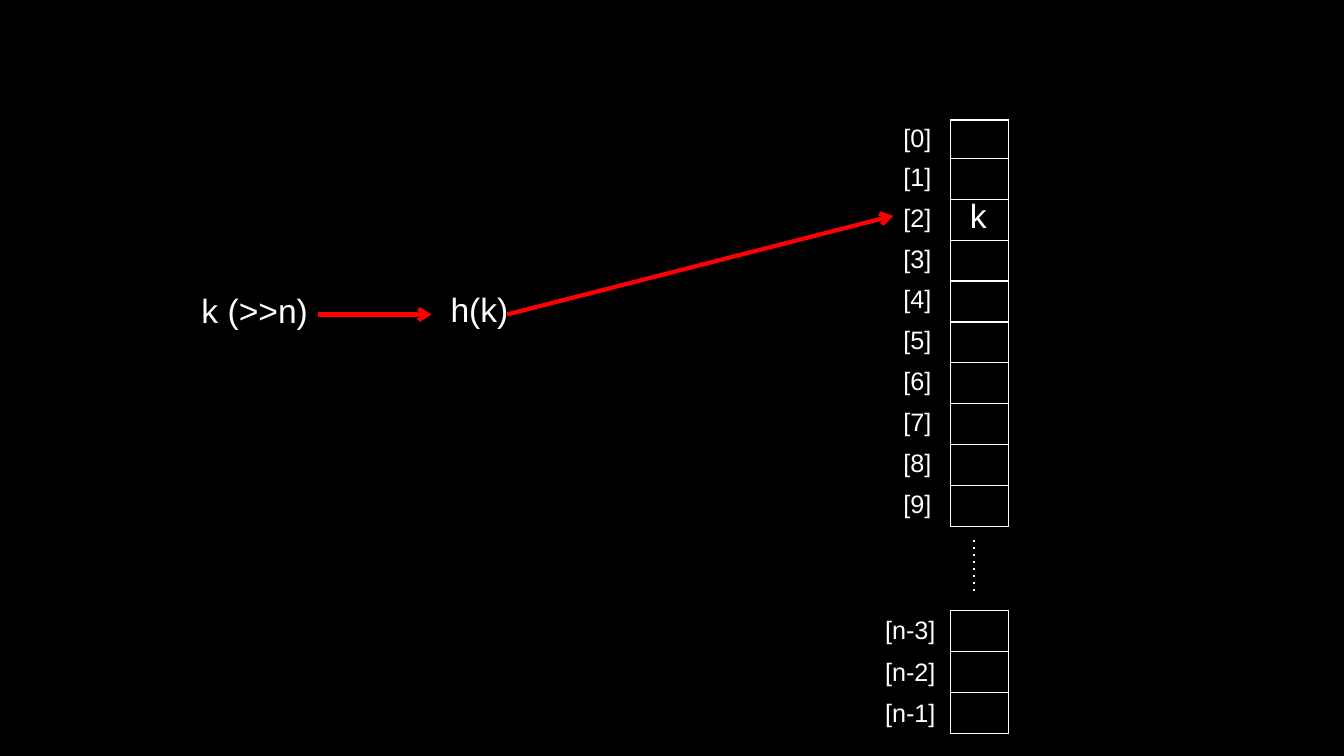
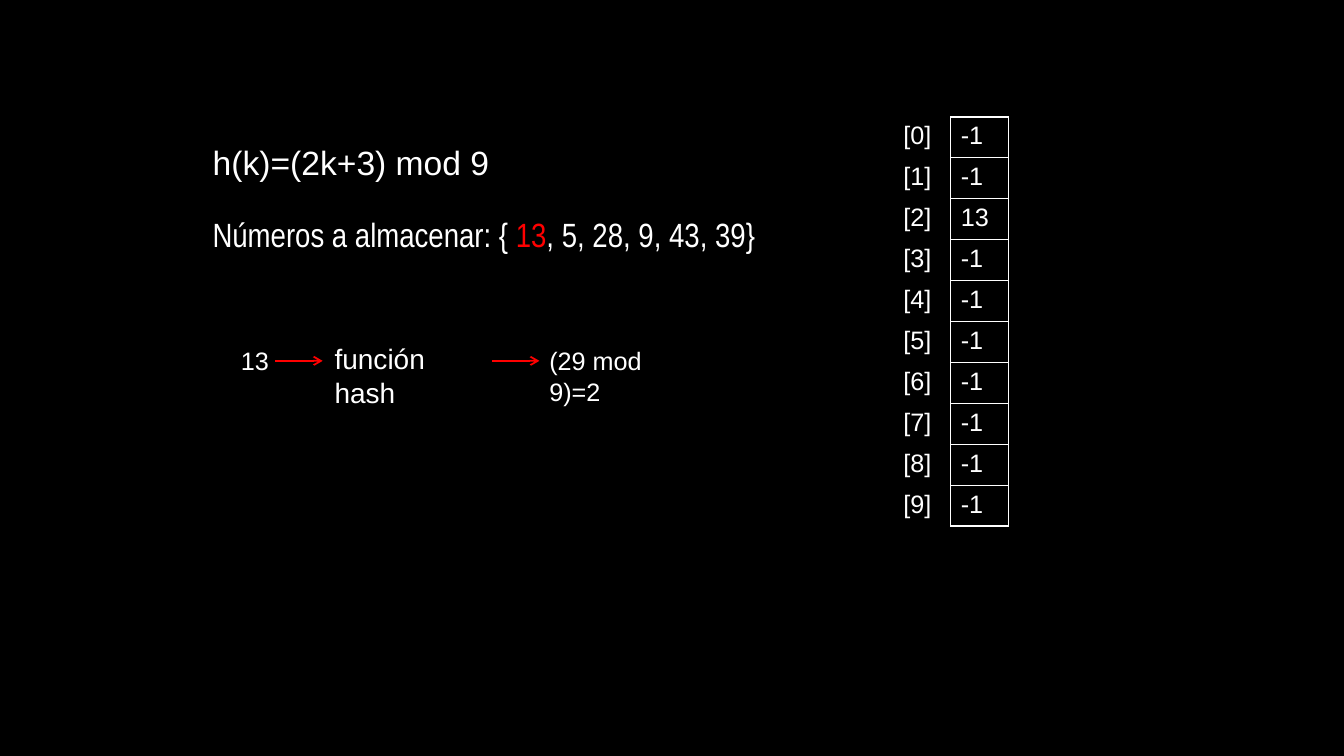
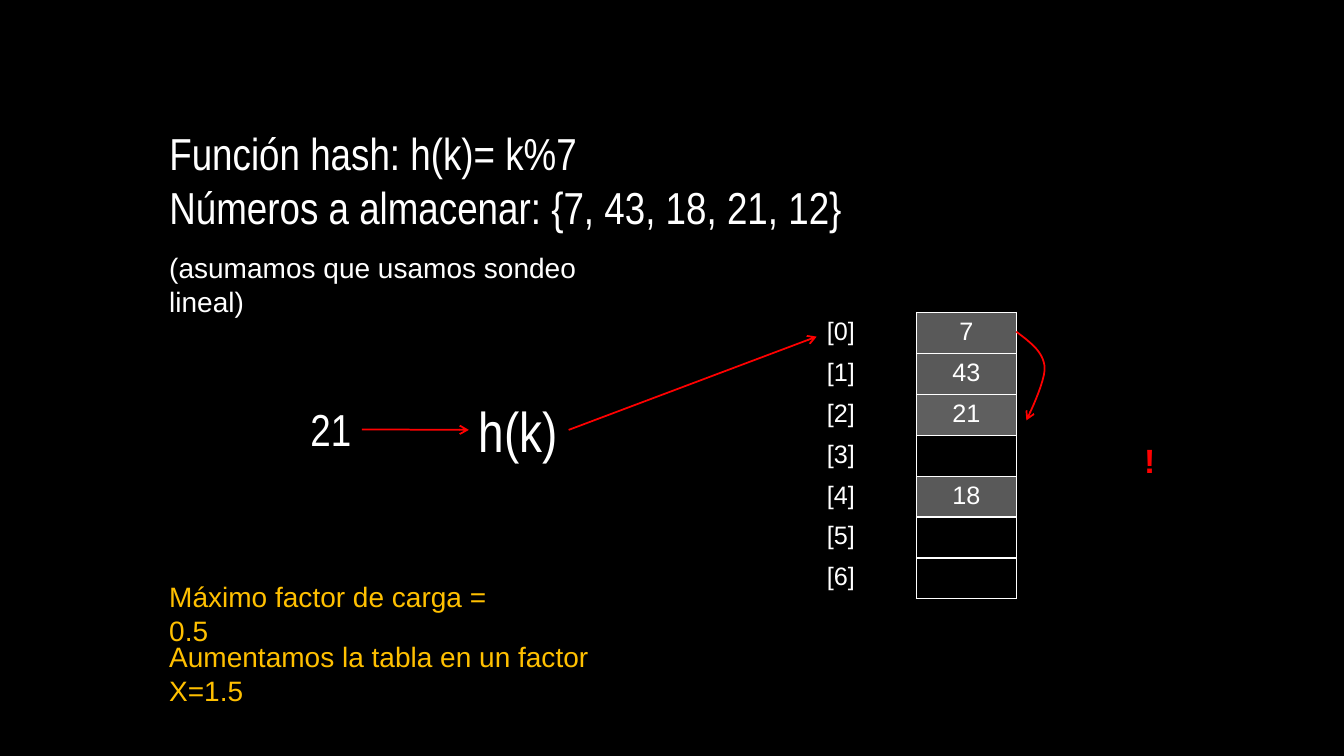
from dataclasses import dataclass
from typing import Optional

from lxml.etree import SubElement
from pptx import Presentation
from pptx.dml.color import RGBColor
from pptx.enum.shapes import MSO_CONNECTOR, MSO_SHAPE
from pptx.enum.text import MSO_ANCHOR, MSO_AUTO_SIZE, PP_ALIGN
from pptx.oxml.ns import qn
from pptx.util import Inches, Pt

Point = tuple[float, float]


@dataclass(frozen=True)
class Theme:
    black: str = "000000"
    white: str = "FFFFFF"
    red: str = "FF0000"
    amber: str = "FFC000"
    gray: str = "595959"
    light_gray: str = "5F5F5F"
    font: str = "Arial"
    narrow: str = "Arial Narrow"
    small: int = 18
    medium: int = 20
    large: int = 24
    heading: int = 32
    huge: int = 40
    thin: float = 1.25
    thick: float = 3


THEME = Theme()
ROW = 0.406
BLANK_LAYOUT, TITLE_LAYOUT = 6, 5


@dataclass(frozen=True)
class Label:
    text: str
    left: float
    top: float
    width: float
    height: float
    size: int = THEME.small
    color: str = THEME.white
    font: str = THEME.font
    bold: bool = False
    filled: bool = False
    accent: str = ""


@dataclass(frozen=True)
class Slot:
    index: str = ""
    value: str = ""
    fill: Optional[str] = None


@dataclass(frozen=True)
class Arrow:
    start: Point
    end: Point
    width: float = THEME.thin


def rgb(color: str) -> RGBColor:
    return RGBColor.from_string(color)


def format_paragraph(paragraph, size, color, font=THEME.font, bold=False,
                     alignment=PP_ALIGN.LEFT) -> None:
    paragraph.alignment = alignment
    paragraph.font.size = Pt(size)
    paragraph.font.name = font
    paragraph.font.bold = bold
    paragraph.font.color.rgb = rgb(color)


def fill_label(shape, label: Label) -> None:
    if label.filled:
        shape.fill.solid()
        shape.fill.fore_color.rgb = rgb(THEME.black)
        shape.line.color.rgb = rgb(THEME.black)
        shape.line.width = Pt(0.75)
    frame = shape.text_frame
    frame.word_wrap = True
    frame.auto_size = MSO_AUTO_SIZE.NONE
    frame.vertical_anchor = MSO_ANCHOR.TOP
    if label.accent:
        before, after = label.text.split(label.accent, 1)
        for part in (before, label.accent, after):
            run = frame.paragraphs[0].add_run()
            run.text = part
            if part == label.accent:
                run.font.color.rgb = rgb(THEME.red)
    else:
        frame.text = label.text
    for paragraph in frame.paragraphs:
        format_paragraph(paragraph, label.size, label.color, label.font, label.bold)


def add_label(slide, label: Label):
    box = [Inches(value) for value in (label.left, label.top, label.width, label.height)]
    if label.filled:
        shape = slide.shapes.add_shape(MSO_SHAPE.RECTANGLE, *box)
        shape.shadow.inherit = False
    else:
        shape = slide.shapes.add_textbox(*box)
    fill_label(shape, label)
    return shape


def set_title(slide, label: Label) -> None:
    title = slide.shapes.title
    title.left, title.top = Inches(label.left), Inches(label.top)
    title.width, title.height = Inches(label.width), Inches(label.height)
    fill_label(title, label)


def set_borders(cell, visible: str) -> None:
    properties = cell._tc.get_or_add_tcPr()
    for side in "LRTB":
        line = SubElement(properties, qn(f"a:ln{side}"), w=str(Pt(1)))
        if side in visible:
            solid = SubElement(line, qn("a:solidFill"))
            SubElement(solid, qn("a:srgbClr"), val=THEME.white)
        else:
            SubElement(line, qn("a:noFill"))


def add_slots(slide, left: float, top: float, column: float, slots: list[Slot],
              alignment=PP_ALIGN.LEFT, first_row: float = ROW) -> None:
    height = first_row + ROW * (len(slots) - 1)
    table = slide.shapes.add_table(len(slots), 2, Inches(left), Inches(top),
                                   Inches(2 * column), Inches(height)).table
    table.first_row = table.horz_banding = False
    for row, slot in enumerate(slots):
        table.rows[row].height = Inches(ROW if row else first_row)
        styles = ((slot.index, "R", None, PP_ALIGN.LEFT),
                  (slot.value, "LRTB", slot.fill, alignment))
        for number, (text, borders, fill, align) in enumerate(styles):
            cell = table.cell(row, number)
            cell.text = text
            format_paragraph(cell.text_frame.paragraphs[0], THEME.small, THEME.white,
                             alignment=align)
            set_borders(cell, borders)
            if fill:
                cell.fill.solid()
                cell.fill.fore_color.rgb = rgb(fill)
            else:
                cell.fill.background()


def style_line(shape, color: str, width: float) -> None:
    shape.line.color.rgb = rgb(color)
    shape.line.width = Pt(width)


def add_arrowhead(shape) -> None:
    SubElement(shape.element.spPr.find(qn("a:ln")), qn("a:tailEnd"), type="arrow")


def add_line(slide, start: Point, end: Point, color: str, width: float):
    connector = slide.shapes.add_connector(
        MSO_CONNECTOR.STRAIGHT, *(Inches(value) for value in (*start, *end)))
    style_line(connector, color, width)
    SubElement(connector.element.spPr, qn("a:effectLst"))
    return connector


def add_arrow(slide, arrow: Arrow):
    connector = add_line(slide, arrow.start, arrow.end, THEME.red, arrow.width)
    add_arrowhead(connector)
    return connector


def bezier(points: list[Point], steps: int = 12) -> list[Point]:
    weights = (1, 3, 3, 1)

    def at(t: float, axis: int) -> float:
        return sum(weight * (1 - t) ** (3 - power) * t ** power * point[axis]
                   for power, (weight, point) in enumerate(zip(weights, points)))

    return [(at(step / steps, 0), at(step / steps, 1)) for step in range(1, steps + 1)]


def add_curved_arrow(slide, points: list[Point]) -> None:
    curve = [point for first in range(0, len(points) - 1, 3)
             for point in bezier(points[first:first + 4])]
    builder = slide.shapes.build_freeform(Inches(points[0][0]), Inches(points[0][1]))
    builder.add_line_segments([(Inches(x), Inches(y)) for x, y in curve], close=False)
    shape = builder.convert_to_shape()
    shape.shadow.inherit = False
    shape.fill.background()
    style_line(shape, THEME.red, THEME.thin)
    add_arrowhead(shape)


def new_slide(presentation, layout: int):
    return presentation.slides.add_slide(presentation.slide_layouts[layout])


def build_hash_idea(presentation) -> None:
    slide = new_slide(presentation, BLANK_LAYOUT)
    add_slots(slide, 8.86, 1.19, 0.57, [Slot(f"[{i}]") for i in range(10)], first_row=0.37)
    add_slots(slide, 8.86, 6.06, 0.57, [Slot()] * 3)
    for row in range(3):
        add_label(slide, Label(f"[n-{3 - row}]", 8.68, 6.05 + 0.41 * row, 0.71, 0.4))
    dots = add_line(slide, (9.66, 5.36), (9.66, 5.88), THEME.white, THEME.thin)
    SubElement(dots.element.spPr.find(qn("a:ln")), qn("a:prstDash"), val="dot")
    for label in (
        Label("k (>>n)", 1.9, 2.83, 1.31, 0.5, THEME.large),
        Label("h(k)", 4.37, 2.82, 0.78, 0.5, THEME.large),
        Label("k", 9.52, 1.88, 0.37, 0.5, THEME.large),
    ):
        add_label(slide, label)
    add_arrow(slide, Arrow((3.15, 3.12), (4.28, 3.12), THEME.thick))
    add_arrow(slide, Arrow((5.03, 3.12), (8.86, 2.14), THEME.thick))


def build_first_insert(presentation) -> None:
    slide = new_slide(presentation, TITLE_LAYOUT)
    set_title(slide, Label("h(k)=(2k+3) mod 9", 2.01, 1.36, 3, 0.5, THEME.large, filled=True))
    stored = {2: "13"}
    add_slots(slide, 8.86, 1.16, 0.57,
              [Slot(f"[{i}]", stored.get(i, "-1")) for i in range(10)])
    add_label(slide, Label("Números a almacenar: { 13, 5, 28, 9, 43, 39}", 2.01, 2.07, 5.7, 0.5,
                           THEME.large, font=THEME.narrow, accent="13"))
    add_label(slide, Label("13", 2.29, 3.38, 0.52, 0.4))
    add_label(slide, Label("función hash", 3.22, 3.34, 1.73, 0.44, THEME.medium, filled=True))
    result = add_label(slide, Label("(29 mod 9)=2", 5.35, 3.38, 1.66, 0.4))
    add_arrow(slide, Arrow((2.73, 3.58), (3.2, 3.58)))
    add_arrow(slide, Arrow((4.88, 3.58), (5.35, 3.58))).end_connect(result, 1)


def build_linear_probing(presentation) -> None:
    slide = new_slide(presentation, TITLE_LAYOUT)
    set_title(slide, Label("Función hash: h(k)= k%7\nNúmeros a almacenar: {7, 43, 18, 21, 12}",
                           1.58, 1.2, 8.28, 1.18, THEME.heading, font=THEME.narrow))
    stored = {0: ("7", THEME.gray), 1: ("43", THEME.gray),
              2: ("21", THEME.light_gray), 4: ("18", THEME.gray)}
    add_slots(slide, 8.1, 3.1, 0.99,
              [Slot(f"[{i}]", *stored.get(i, ())) for i in range(7)], PP_ALIGN.CENTER)
    key = add_label(slide, Label("21", 2.98, 3.94, 0.61, 0.64, THEME.heading, font=THEME.narrow))
    hashing = add_label(slide, Label("h(k)", 4.65, 3.88, 0.99, 0.77, THEME.huge,
                                     font=THEME.narrow, filled=True))
    to_hash = add_arrow(slide, Arrow((3.59, 4.26), (4.65, 4.27)))
    to_hash.begin_connect(key, 3)
    to_hash.end_connect(hashing, 1)
    add_arrow(slide, Arrow((5.64, 4.27), (8.1, 3.34))).begin_connect(hashing, 3)
    for label in (
        Label("(asumamos que usamos sondeo lineal)", 1.58, 2.44, 4.77, 0.44, THEME.medium),
        Label("Máximo factor de carga = 0.5", 1.58, 5.7, 3.74, 0.44, THEME.medium, THEME.amber),
        Label("Aumentamos la tabla en un factor X=1.5", 1.58, 6.3, 5.06, 0.44,
              THEME.medium, THEME.amber),
        Label("!", 11.25, 4.32, 0.32, 0.5, THEME.large, THEME.red, bold=True),
    ):
        add_label(slide, label)
    add_curved_arrow(slide, [(10.08, 3.29), (10.21, 3.39), (10.34, 3.48), (10.36, 3.63),
                             (10.38, 3.77), (10.18, 4.17), (10.18, 4.17)])


def main() -> None:
    presentation = Presentation()
    presentation.slide_width, presentation.slide_height = Inches(13.33), Inches(7.5)
    background = presentation.slide_master.background.fill
    background.solid()
    background.fore_color.rgb = rgb(THEME.black)
    build_hash_idea(presentation)
    build_first_insert(presentation)
    build_linear_probing(presentation)
    presentation.save("out.pptx")


if __name__ == "__main__":
    main()
